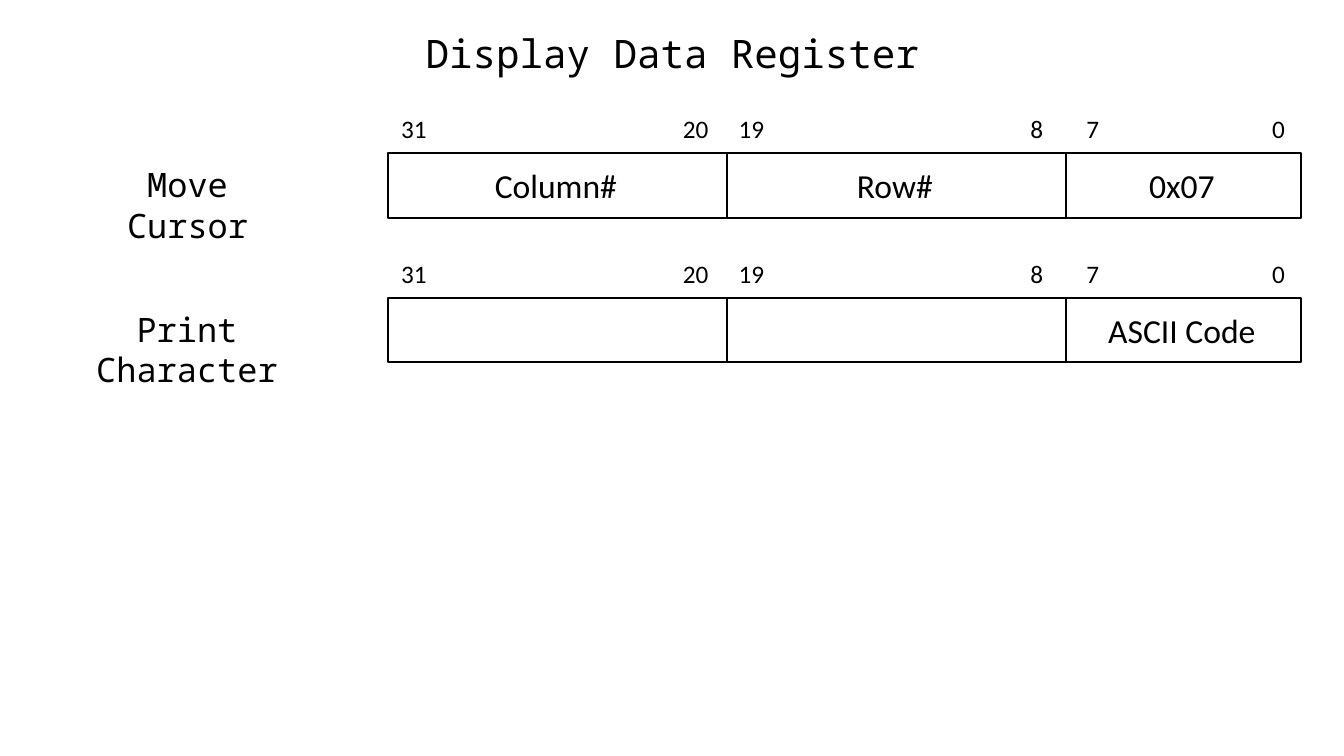
import pptx
import pptx.dml.color
import pptx.enum.shapes
import pptx.enum.text
import pptx.util
from lxml import etree
from pptx.oxml.ns import qn

COLORS = {"ink": "000000"}
FORMATS = {
    "title": {"size": pptx.util.Pt(28), "name": "Noto Sans Mono"},
    "command": {"size": pptx.util.Pt(24), "name": "Noto Sans Mono"},
    "value": {"size": pptx.util.Pt(24), "name": "Calibri"},
    "bits": {"size": pptx.util.Pt(18), "name": "Calibri"},
}
COLUMNS, ROWS = 40, 30


class RegisterSlide:
    def __init__(self, deck):
        self.slide = deck.slides.add_slide(deck.slide_layouts[6])
        self.column = deck.slide_width / COLUMNS
        self.row = deck.slide_height / ROWS
        self.ink = pptx.dml.color.RGBColor.from_string(COLORS["ink"])

    def area(self, left, top, width, height):
        return (int(left * self.column), int(top * self.row),
                int(width * self.column), int(height * self.row))

    def text(self, words, style, *place, tab=None):
        frame = self.slide.shapes.add_textbox(*self.area(*place)).text_frame
        frame.word_wrap = True
        line = frame.paragraphs[0]
        run = line.add_run()
        run.text = words
        for attribute, setting in FORMATS[style].items():
            setattr(run.font, attribute, setting)
        run.font.color.rgb = self.ink
        if tab is None:
            line.alignment = pptx.enum.text.PP_ALIGN.CENTER
        else:
            # Right-aligned tab stop for the low bit number
            stops = etree.SubElement(line._p.get_or_add_pPr(), qn("a:tabLst"))
            etree.SubElement(stops, qn("a:tab"),
                             pos=str(int(tab * self.column)), algn="r")

    def box(self, *place):
        field = self.slide.shapes.add_shape(
            pptx.enum.shapes.MSO_SHAPE.RECTANGLE, *self.area(*place))
        field.shadow.inherit = False
        field.fill.background()
        field.line.color.rgb = self.ink
        field.line.width = pptx.util.Pt(1.5)


# Bit fields: high bit, low bit, width, inset of the bit numbers, tab stop
FIELDS = [
    ("31", "20", 10.09, 0.09, 9.15),
    ("19", "8", 10.09, 0.05, 9.06),
    ("7", "0", 6.99, 0.31, 5.91),
]
# Commands: name, left and width of the name, field values
COMMANDS = [
    ("Move Cursor", 2.04, 7.08, ("Column#", "Row#", "0x07")),
    ("Print Character", 0.87, 9.39, ("", "", "ASCII Code")),
]
FIRST_LEFT, FIRST_TOP, PITCH = 11.55, 6.08, 5.73


def main():
    deck = pptx.Presentation()
    deck.slide_width = pptx.util.Inches(13.33)
    deck.slide_height = pptx.util.Inches(7.5)
    register = RegisterSlide(deck)

    # Title
    register.text("Display Data Register", "title", 11.97, 0.96, 16.08, 2.28)

    # One register layout per command
    for index, (command, name_left, name_width, values) in enumerate(COMMANDS):
        top = FIRST_TOP + index * PITCH
        register.text(command, "command", name_left, top + 0.24, name_width, 2)
        left = FIRST_LEFT
        for (high, low, width, inset, tab), value in zip(FIELDS, values):
            register.box(left, top, width, 2.56)
            register.text(f"{high}\t{low}", "bits", left + inset, top - 1.76,
                          width - 0.1, 1.6, tab=tab)
            if value:
                register.text(value, "value", left, top + 0.28, width - 0.1, 2)
            left += width

    deck.save("out.pptx")


if __name__ == "__main__":
    main()
